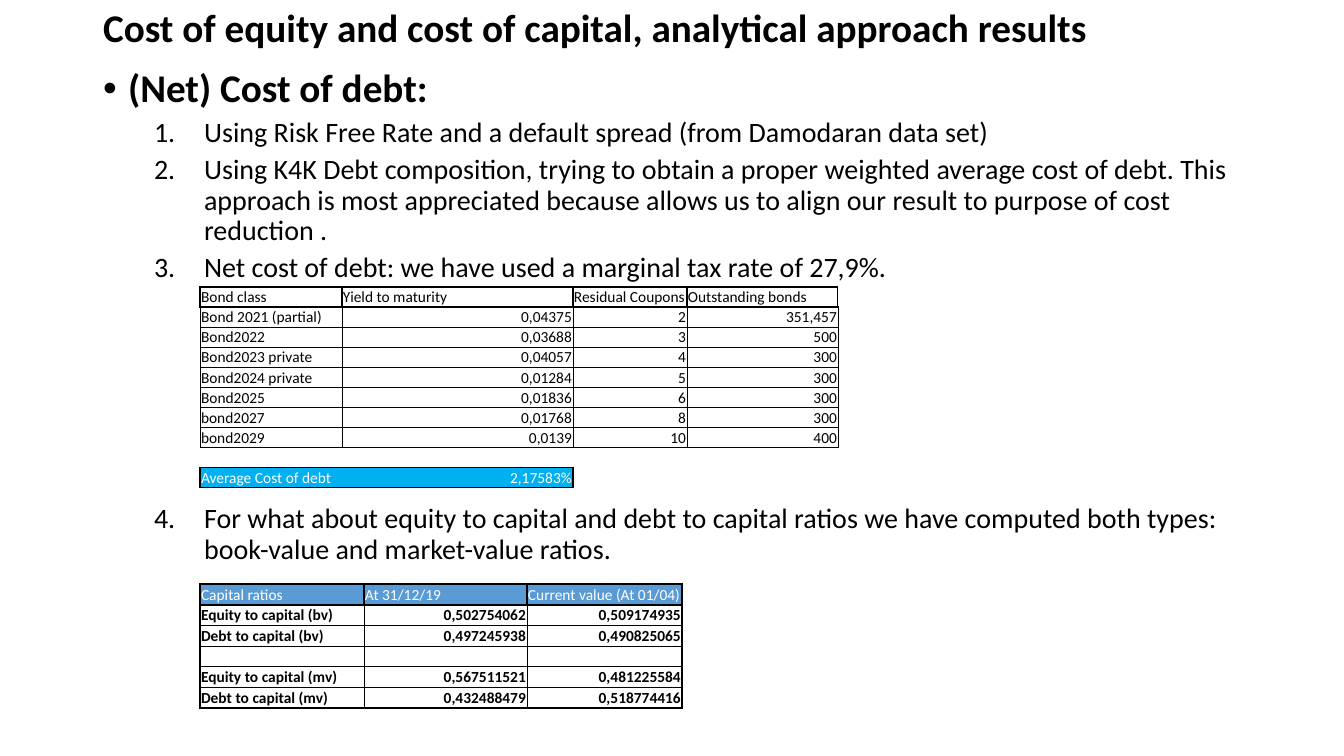
from lxml import etree
from pptx import Presentation, util as u
from pptx.dml.color import RGBColor
from pptx.enum import text
from pptx.oxml import ns

PX = 914400 / 100.8
BLACK, WHITE, BLUE, CYAN = "000000", "FFFFFF", "5B9BD5", "00B0F0"
LEFT, RIGHT = text.PP_ALIGN.LEFT, text.PP_ALIGN.RIGHT

BONDS = [
    ["Bond class", "Yield to maturity", "Residual Coupons", "Outstanding bonds"],
    ["Bond 2021 (partial)", "0,04375", "2", "351,457"],
    ["Bond2022", "0,03688", "3", "500"],
    ["Bond2023 private", "0,04057", "4", "300"],
    ["Bond2024 private", "0,01284", "5", "300"],
    ["Bond2025", "0,01836", "6", "300"],
    ["bond2027", "0,01768", "8", "300"],
    ["bond2029", "0,0139", "10", "400"],
    ["", "", "", ""],
    ["Average Cost of debt", "2,17583%", "", ""],
]
RATIOS = [
    ["Capital ratios", "At 31/12/19", "Current value (At 01/04)"],
    ["Equity to capital (bv)", "0,502754062", "0,509174935"],
    ["Debt to capital (bv)", "0,497245938", "0,490825065"],
    ["", "", ""],
    ["Equity to capital (mv)", "0,567511521", "0,481225584"],
    ["Debt to capital (mv)", "0,432488479", "0,518774416"],
]
# Numbered items: text and space before in points; the last leaves room for the bonds
ITEMS = [
    ("Using Risk Free Rate and a default spread (from Damodaran data set)", 5),
    ("Using K4K Debt composition, trying to obtain a proper weighted average cost of debt. "
     "This approach is most appreciated because allows us to align our result to purpose "
     "of cost reduction .", 5),
    ("Net cost of debt: we have used a marginal tax rate of 27,9%.", 5),
    ("For what about equity to capital and debt to capital ratios we have computed both "
     "types: book-value and market-value ratios.", 158),
]


def px(length):
    return u.Emu(round(length * PX))


def color(value):
    return RGBColor.from_string(value)


def write(paragraph, words, size, bold=False, fill=BLACK, align=LEFT, line=None, before=None):
    paragraph.alignment = align
    if line:
        paragraph.line_spacing = line
    if before is not None:
        paragraph.space_before = u.Pt(before)
    if not words:
        # An empty cell still needs its text height
        paragraph._p.get_or_add_endParaRPr().set("sz", str(size * 100))
        return
    run = paragraph.add_run()
    run.text = words
    run.font.name, run.font.size, run.font.bold = "Calibri", u.Pt(size), bold
    run.font.color.rgb = color(fill)


def set_bullet(paragraph, tag, margin, indent, **attributes):
    properties = paragraph._p.get_or_add_pPr()
    properties.set("marL", str(px(margin)))
    properties.set("indent", str(px(indent)))
    etree.SubElement(properties, ns.qn("a:buFont"), typeface="Arial" if tag == "buChar" else "Calibri")
    etree.SubElement(properties, ns.qn("a:" + tag), **attributes)


def place(shape, left, top, width, height):
    shape.left, shape.top, shape.width, shape.height = map(px, (left, top, width, height))
    shape.text_frame.word_wrap = True
    shape.text_frame.auto_size = text.MSO_AUTO_SIZE.NONE


def add_title(slide, box):
    title = slide.shapes.title
    place(title, *box)
    title.text_frame.vertical_anchor = text.MSO_ANCHOR.MIDDLE
    write(title.text_frame.paragraphs[0],
          "Cost of equity and cost of capital, analytical approach results",
          size=28, bold=True, line=0.9)


def add_list(slide, box):
    body = slide.placeholders[1]
    place(body, *box)
    heading = body.text_frame.paragraphs[0]
    write(heading, "(Net) Cost of debt:", size=28, bold=True, line=0.9, before=10)
    set_bullet(heading, "buChar", 25, -25, char="•")
    for words, before in ITEMS:
        paragraph = body.text_frame.add_paragraph()
        paragraph.level = 1
        write(paragraph, words, size=20, line=0.9, before=before)
        set_bullet(paragraph, "buAutoNum", 101, -50, type="arabicPeriod")


def frame_edges(rows, columns, outer, inner):
    """Line widths of a block of cells, given also to the neighbours that share them."""
    edges = {}
    for row in rows:
        for column in columns:
            for side, other, down, across in (("L", "R", 0, -1), ("R", "L", 0, 1),
                                              ("T", "B", -1, 0), ("B", "T", 1, 0)):
                near = (row + down, column + across)
                inside = near[0] in rows and near[1] in columns
                width = inner if inside else outer
                edges[row, column, side] = width
                edges[(*near, other)] = width
    return edges


def draw_borders(cell, widths):
    properties = cell._tc.get_or_add_tcPr()
    for side, width in widths.items():
        line = etree.SubElement(properties, ns.qn("a:ln" + side), w=str(u.Pt(width)))
        if width:
            fill = etree.SubElement(line, ns.qn("a:solidFill"))
            etree.SubElement(fill, ns.qn("a:srgbClr"), val=BLACK)
        else:
            etree.SubElement(line, ns.qn("a:noFill"))


def add_grid(slide, left, top, widths, heights, data, edges, accent, bold=False):
    """accent gives the fill of the coloured cells by (row, column)."""
    table = slide.shapes.add_table(len(data), len(widths), px(left), px(top),
                                   px(sum(widths)), px(sum(heights))).table
    for column, width in zip(table.columns, widths):
        column.width = px(width)
    for row, height in zip(table.rows, heights):
        row.height = px(height)
    for i, values in enumerate(data):
        for j, value in enumerate(values):
            cell = table.cell(i, j)
            draw_borders(cell, {side: edges.get((i, j, side), 0) for side in "LRTB"})
            cell.fill.solid()
            cell.fill.fore_color.rgb = color(accent.get((i, j), WHITE))
            cell.margin_left = cell.margin_right = cell.margin_top = px(1)
            cell.margin_bottom = 0
            cell.vertical_anchor = text.MSO_ANCHOR.BOTTOM
            write(cell.text_frame.paragraphs[0], value, size=11, bold=bold and i > 0,
                  fill=WHITE if (i, j) in accent else BLACK,
                  align=RIGHT if i and j else LEFT)


def add_bonds(slide, left, top):
    edges = {**frame_edges(range(8), range(4), 0.5, 0.5),
             **frame_edges(range(1), range(4), 1, 1),
             **frame_edges(range(9, 10), range(2), 1, 0)}
    add_grid(slide, left, top, [142, 231, 114, 151], [20] * len(BONDS), BONDS, edges,
             accent={(9, 0): CYAN, (9, 1): CYAN})


def add_ratios(slide, left, top):
    edges = {**frame_edges(range(6), range(3), 1, 0.5),
             **frame_edges(range(1), range(3), 1, 1)}
    add_grid(slide, left, top, [164, 163, 155], [21, 20, 21, 20, 21, 21], RATIOS, edges,
             accent={(0, j): BLUE for j in range(3)}, bold=True)


def main():
    presentation = Presentation()
    presentation.slide_width, presentation.slide_height = px(1344), px(756)
    slide = presentation.slides.add_slide(presentation.slide_layouts[1])
    add_title(slide, (93, 9, 1159, 42))
    add_list(slide, (93, 64, 1159, 671))
    add_ratios(slide, 200, 584)
    add_bonds(slide, 200, 287)
    presentation.save("out.pptx")


if __name__ == "__main__":
    main()
